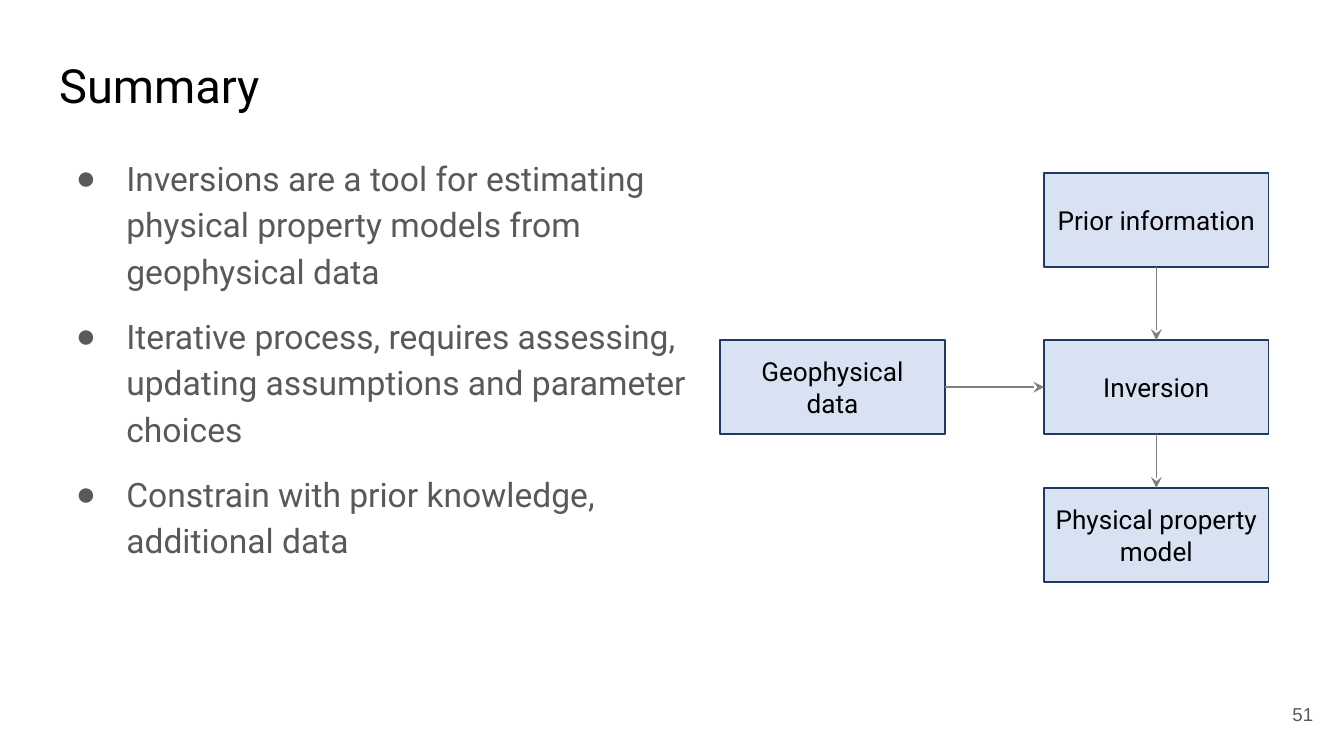
from lxml.etree import SubElement
from pptx import Presentation
from pptx.dml.color import RGBColor
from pptx.enum.shapes import MSO_CONNECTOR, MSO_SHAPE
from pptx.enum.text import MSO_ANCHOR, MSO_AUTO_SIZE, PP_ALIGN
from pptx.oxml.ns import qn
from pptx.util import Pt

COLOURS = {
    "title": "000000",
    "body": "595959",
    "box_fill": "D8E2F3",
    "box_line": "1F3864",
    "box_text": "000000",
    "arrow": "7F7F7F",
}
TOP, LEFT, BOTTOM = 0, 1, 2
RIGHT = 3
BULLETS = [
    "Inversions are a tool for estimating physical property models from geophysical data",
    "Iterative process, requires assessing, updating assumptions and parameter choices",
    "Constrain with prior knowledge, additional data",
]


def colour(name):
    return RGBColor.from_string(COLOURS[name])


def set_values(target, values):
    for name, value in values.items():
        setattr(target, name, value)


def place(shape, box):
    set_values(shape, dict(zip(("left", "top", "width", "height"), map(Pt, box))))


def set_frame(frame, anchor, side=7.2, end=7.2):
    set_values(frame, {
        "word_wrap": True,
        "auto_size": MSO_AUTO_SIZE.NONE,
        "vertical_anchor": anchor,
        "margin_left": Pt(side),
        "margin_right": Pt(side),
        "margin_top": Pt(end),
        "margin_bottom": Pt(end),
    })


def write(para, text, size, colour_name, font="Roboto", **layout):
    set_values(para, layout)
    span = para.add_run()
    span.text = text
    set_values(span.font, {"name": font, "size": Pt(size)})
    span.font.color.rgb = colour(colour_name)


def add_bullet(para):
    properties = para._p.get_or_add_pPr()
    properties.set("marL", str(Pt(36)))
    properties.set("indent", str(Pt(-27)))
    tint = SubElement(properties, qn("a:buClr"))
    SubElement(tint, qn("a:srgbClr"), val=COLOURS["body"])
    SubElement(properties, qn("a:buChar"), char="●")


def fill_title(page, box):
    title = page.shapes.title
    place(title, box)
    set_frame(title.text_frame, MSO_ANCHOR.TOP)
    write(title.text_frame.paragraphs[0], "Summary", 25.2, "title", alignment=PP_ALIGN.LEFT)


def fill_body(page, box):
    body = page.placeholders[1]
    place(body, box)
    frame = body.text_frame
    set_frame(frame, MSO_ANCHOR.TOP)
    for index, text in enumerate(BULLETS):
        para = frame.add_paragraph() if index else frame.paragraphs[0]
        add_bullet(para)
        write(para, text, 18, "body", line_spacing=1.15,
              space_before=Pt(10 if index else 0))


def add_page_number(page, box):
    number = page.shapes.add_textbox(*map(Pt, box))
    set_frame(number.text_frame, MSO_ANCHOR.MIDDLE)
    write(number.text_frame.paragraphs[0], "51", 10, "body", "Arial", alignment=PP_ALIGN.RIGHT)


def add_step(page, box, lines):
    step = page.shapes.add_shape(MSO_SHAPE.ROUNDED_RECTANGLE, *map(Pt, box))
    step.adjustments[0] = 0
    step.shadow.inherit = False
    step.fill.solid()
    step.fill.fore_color.rgb = colour("box_fill")
    step.line.color.rgb = colour("box_line")
    step.line.width = Pt(1)
    frame = step.text_frame
    set_frame(frame, MSO_ANCHOR.MIDDLE, 5, 3)
    for index, text in enumerate(lines):
        para = frame.add_paragraph() if index else frame.paragraphs[0]
        write(para, text, 14, "box_text", alignment=PP_ALIGN.CENTER)
    return step


def add_arrow(page, start, start_side, end, end_side):
    arrow = page.shapes.add_connector(MSO_CONNECTOR.STRAIGHT, 0, 0, 0, 0)
    arrow.begin_connect(start, start_side)
    arrow.end_connect(end, end_side)
    arrow.line.color.rgb = colour("arrow")
    arrow.line.width = Pt(0.75)
    SubElement(arrow.line._get_or_add_ln(), qn("a:tailEnd"), type="stealth")
    SubElement(arrow._element.spPr, qn("a:effectLst"))


def add_flow(page, box):
    left, top, width, height = box
    step_width, step_height = 120.2, 50.4
    right_column = left + width - step_width
    middle_row = top + 89.3
    bottom_row = top + height - step_height
    data, prior, inversion, model = [
        add_step(page, (x, y, step_width, step_height), lines)
        for x, y, lines in (
            (left, middle_row, ["Geophysical", "data"]),
            (right_column, top, ["Prior information"]),
            (right_column, middle_row, ["Inversion"]),
            (right_column, bottom_row, ["Physical property model"]),
        )
    ]
    add_arrow(page, data, RIGHT, inversion, LEFT)
    add_arrow(page, prior, BOTTOM, inversion, TOP)
    add_arrow(page, inversion, BOTTOM, model, TOP)


def main():
    deck = Presentation()
    set_values(deck, {"slide_width": Pt(720), "slide_height": Pt(405)})
    page = deck.slides.add_slide(deck.slide_layouts[1])
    fill_title(page, (24.5, 23, 671, 45.4))
    fill_body(page, (24.5, 74.2, 354.2, 285.8))
    add_page_number(page, (667.4, 367.2, 43.2, 31))
    add_flow(page, (385.9, 92.9, 293.7, 218.9))
    deck.save("out.pptx")


if __name__ == "__main__":
    main()
